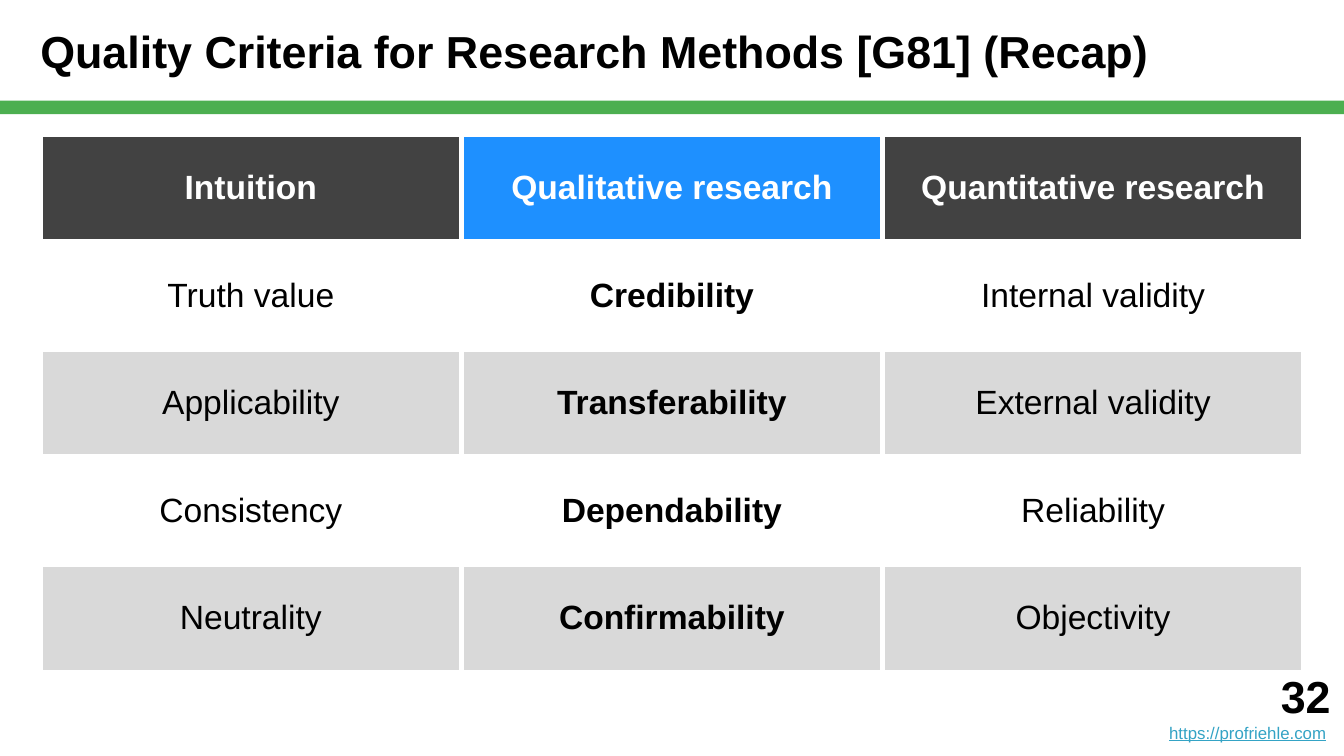
from pptx import Presentation
from pptx.dml.color import RGBColor
from pptx.enum.shapes import MSO_SHAPE
from pptx.enum.text import MSO_ANCHOR, MSO_AUTO_SIZE, PP_ALIGN
from pptx.oxml import parse_xml
from pptx.oxml.ns import nsdecls
from pptx.util import Inches, Pt

TITLE = "Quality Criteria for Research Methods [G81] (Recap)"
ROWS = [
    ("Intuition", "Qualitative research", "Quantitative research"),
    ("Truth value", "Credibility", "Internal validity"),
    ("Applicability", "Transferability", "External validity"),
    ("Consistency", "Dependability", "Reliability"),
    ("Neutrality", "Confirmability", "Objectivity"),
]
PAGE = "32"
LINK = "https://profriehle.com"

THEME = {
    "font": "Arial", "title": 24, "cell": 18, "link": 9,
    "text": "000000", "white": "FFFFFF", "green": "4CAF50", "dark": "424242",
    "blue": "1E90FF", "band": "D9D9D9", "url": "34A3C5", "grey": "808080",
}
FOCUS = 1
WIDE = 10
HIGH = WIDE * 9 / 16
EDGE = 0.3
COL, ROW = (WIDE - 2 * EDGE) / len(ROWS[0]), 0.8
INSET = 0.1


def color(name):
    return RGBColor.from_string(THEME[name])


def style(run, size, tint="text", **extra):
    values = {"name": THEME["font"], "size": Pt(THEME[size]), **extra}
    for key, value in values.items():
        setattr(run.font, key, value)
    run.font.color.rgb = color(tint)


def write(para, text, align, size, tint="text", **extra):
    para.alignment = align
    run = para.add_run()
    run.text = text
    style(run, size, tint, **extra)


def frame(box, anchor, left=INSET):
    values = {
        "word_wrap": True, "auto_size": MSO_AUTO_SIZE.NONE,
        "vertical_anchor": anchor, "margin_left": Inches(left),
        "margin_right": Inches(INSET), "margin_top": Inches(INSET),
        "margin_bottom": Inches(INSET),
    }
    for key, value in values.items():
        setattr(box.text_frame, key, value)
    return box.text_frame


def border(cell):
    props = cell._tc.get_or_add_tcPr()
    for side in "LRTB":
        props.append(parse_xml(
            f'<a:ln{side} {nsdecls("a")} w="{Pt(3)}"><a:solidFill>'
            f'<a:srgbClr val="{THEME["white"]}"/></a:solidFill></a:ln{side}>'
        ))


def shade(row, col):
    if row == 0:
        return "blue" if col == FOCUS else "dark"
    return "white" if row % 2 else "band"


def add_title(slide):
    title = slide.shapes.title
    title.left, title.top = Inches(0), Inches(0)
    title.width, title.height = Inches(WIDE), Inches(0.75)
    text = frame(title, MSO_ANCHOR.MIDDLE, EDGE)
    write(text.paragraphs[0], TITLE, PP_ALIGN.LEFT, "title", bold=True)


def add_bar(slide):
    bar = slide.shapes.add_shape(
        MSO_SHAPE.RECTANGLE, Inches(0), Inches(0.75), Inches(WIDE), Inches(0.1))
    bar.shadow.inherit = False
    bar.fill.solid()
    bar.fill.fore_color.rgb = color("green")
    bar.line.fill.background()


def add_foot(slide):
    wide, high = 2, 0.8
    box = slide.shapes.add_textbox(
        Inches(WIDE - wide), Inches(HIGH - high), Inches(wide), Inches(high))
    text = frame(box, MSO_ANCHOR.BOTTOM)
    write(text.paragraphs[0], PAGE, PP_ALIGN.RIGHT, "title", bold=True)
    para = text.add_paragraph()
    write(para, LINK, PP_ALIGN.RIGHT, "link", "url", underline=True)
    write(para, " ", PP_ALIGN.RIGHT, "link", "grey")


def add_grid(slide):
    rows, cols = len(ROWS), len(ROWS[0])
    grid = slide.shapes.add_table(
        rows, cols, Inches(EDGE), Inches(1),
        Inches(COL * cols), Inches(ROW * rows)).table
    grid.first_row = grid.horz_banding = False
    for col in grid.columns:
        col.width = Inches(COL)
    for r, line in enumerate(ROWS):
        grid.rows[r].height = Inches(ROW)
        for c, text in enumerate(line):
            cell = grid.cell(r, c)
            cell.vertical_anchor = MSO_ANCHOR.MIDDLE
            for side in ("left", "right", "top", "bottom"):
                setattr(cell, f"margin_{side}", Inches(INSET))
            border(cell)
            cell.fill.solid()
            cell.fill.fore_color.rgb = color(shade(r, c))
            write(cell.text_frame.paragraphs[0], text, PP_ALIGN.CENTER, "cell",
                  "text" if r else "white", bold=r == 0 or c == FOCUS)


def main():
    deck = Presentation()
    deck.slide_width, deck.slide_height = Inches(WIDE), Inches(HIGH)
    slide = deck.slides.add_slide(deck.slide_layouts[5])
    add_bar(slide)
    add_title(slide)
    add_foot(slide)
    add_grid(slide)
    deck.save("out.pptx")


if __name__ == "__main__":
    main()
